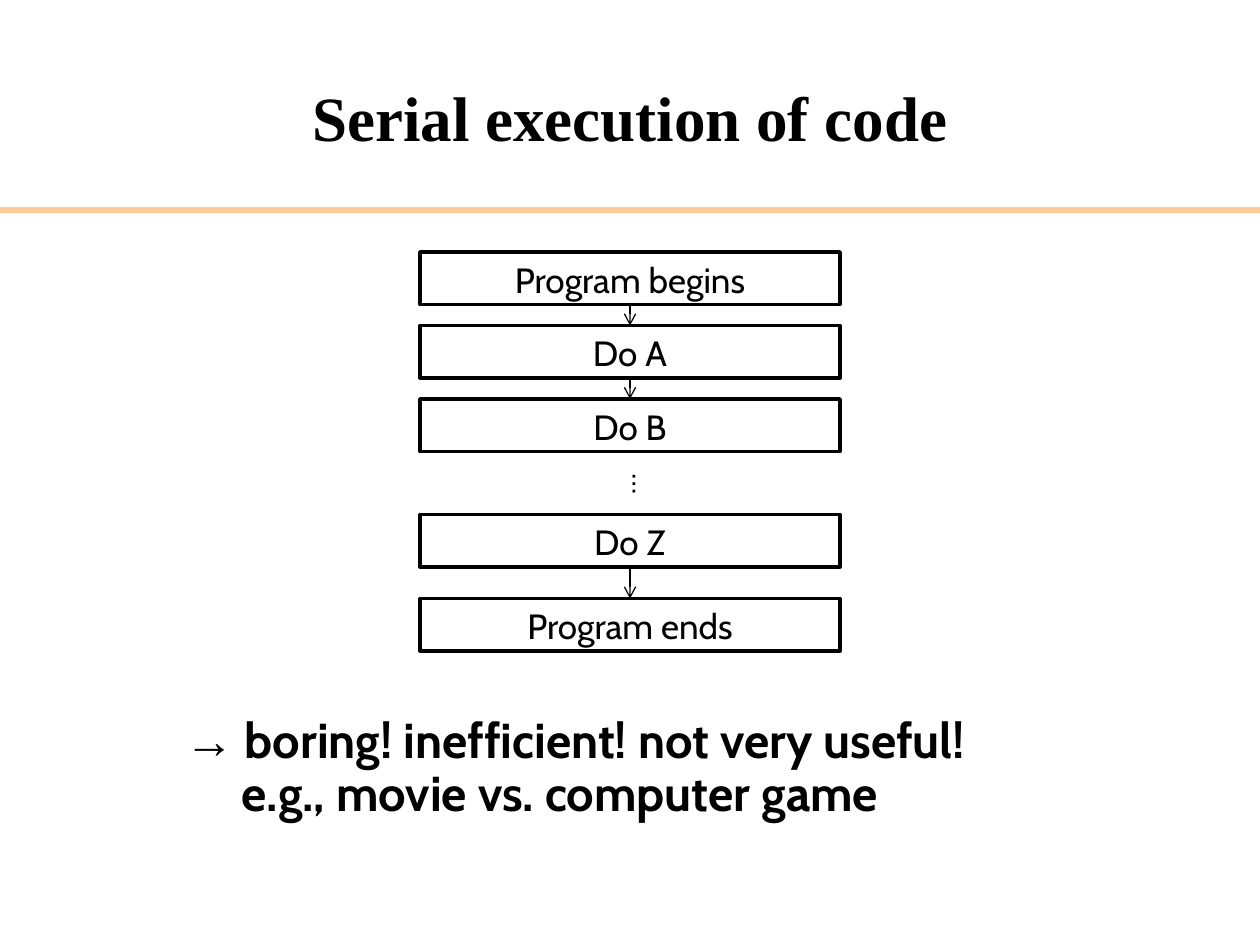
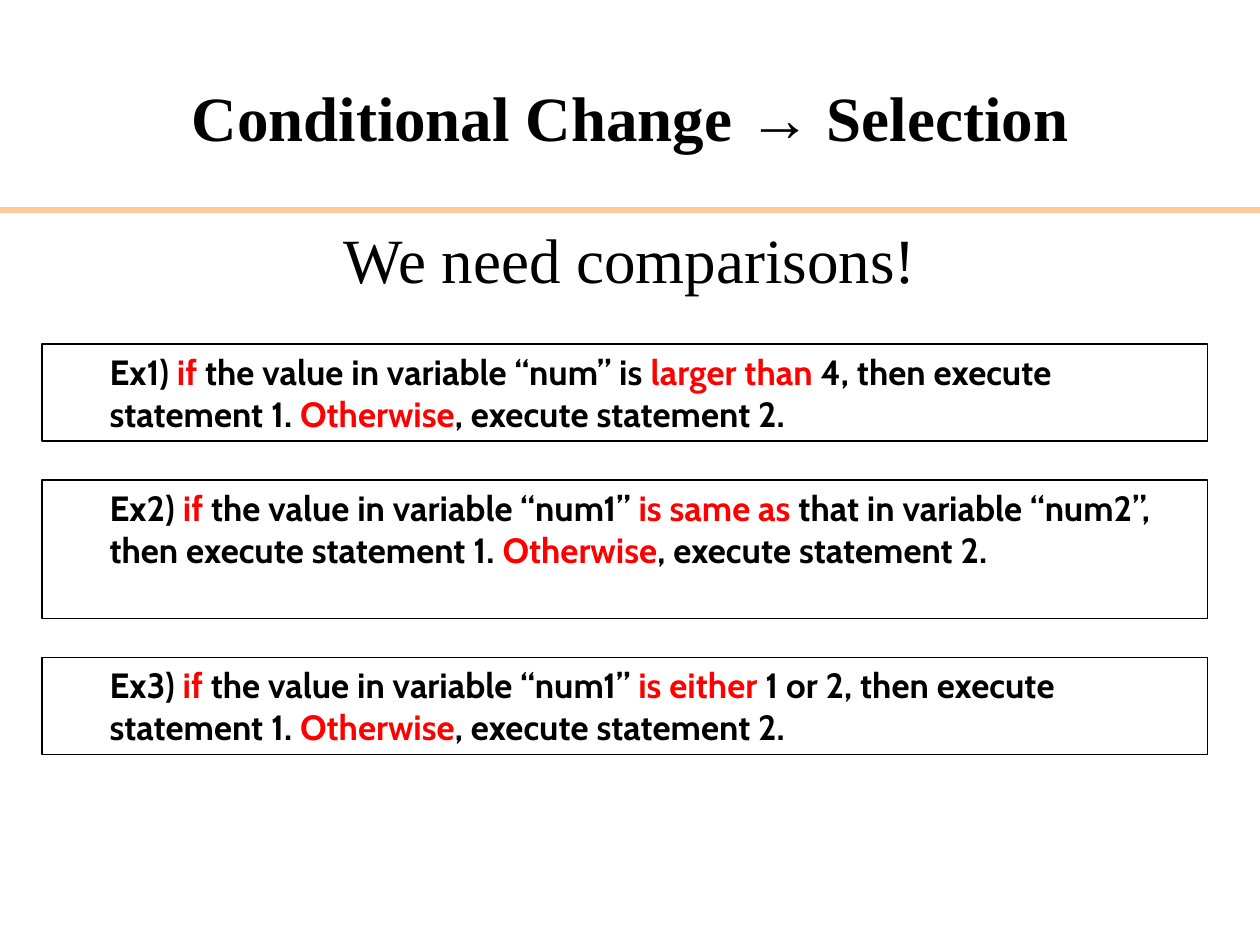
from lxml.etree import SubElement
from pptx import Presentation
from pptx.dml.color import RGBColor
from pptx.enum.shapes import MSO_CONNECTOR, MSO_SHAPE
from pptx.enum.text import MSO_ANCHOR, PP_ALIGN
from pptx.oxml.ns import qn
from pptx.util import Pt

COLORS = {"ink": "000000", "paper": "FFFFFF", "band": "FFCC99", "key": "FF0000"}
SERIF, SANS, SYMBOL = "Times New Roman", "Cabin", "Arial"
WIDE, HIGH = 720, 540

# Text between asterisks takes the accent format.
SERIAL = "Serial execution of code"
STEPS = ["Program begins", "Do A", "Do B", "Do Z", "Program ends"]
GAPS = [12, 12, 36, 18]  # below each step but the last
BREAK = 2  # the step followed by dots, not by an arrow
NOTES = [
    ("*→* boring! inefficient! not very useful!", (98.6, 401.8, 533.5, 41), 0),
    ("e.g., movie vs. computer game", (95, 432, 476, 41), 36),
]

CHOICE = "Conditional Change *→* Selection"
LEAD = "We need comparisons!"
CASES = [
    ("Ex1) *if* the value in variable “num” is *larger than *4, then execute "
     "statement 1. *Otherwise*, execute statement 2.", 55.4),
    ("Ex2) *if* the value in variable “num1” *is same as* that in variable “num2”, "
     "then execute statement 1. *Otherwise*, execute statement 2.", 79.2),
    ("Ex3) *if* the value in variable “num1” *is either *1 or 2, then execute "
     "statement 1. *Otherwise*, execute statement 2.", 55.4),
]


def color(name):
    return RGBColor.from_string(COLORS[name])


def write(shape, text, size=20, font=SANS, bold=False, center=False,
          anchor=MSO_ANCHOR.TOP, indent=0, before=0, accent=None):
    """Fill a shape with one paragraph; accent overrides font or ink."""
    frame = shape.text_frame
    frame.word_wrap = True
    frame.vertical_anchor = anchor
    para = frame.paragraphs[0]
    para.alignment = PP_ALIGN.CENTER if center else PP_ALIGN.LEFT
    para.space_before = Pt(before)
    if indent:
        props = para._p.get_or_add_pPr()
        props.set("marL", str(Pt(indent)))
        props.set("indent", "0")
    for i, part in enumerate(text.split("*")):
        if not part:
            continue
        look = {"font": font, "ink": "ink"}
        if i % 2:
            look.update(accent or {})
        run = para.add_run()
        run.text = part
        run.font.size = Pt(size)
        run.font.bold = bold
        run.font.name = look["font"]
        run.font.color.rgb = color(look["ink"])
    return frame


def label(slide, text, place, **look):
    box = slide.shapes.add_textbox(*map(Pt, place))
    write(box, text, **look)
    return box


def panel(slide, text, place, line, fill=None, **look):
    box = slide.shapes.add_shape(MSO_SHAPE.RECTANGLE, *map(Pt, place))
    box.shadow.inherit = False
    if fill:
        box.fill.solid()
        box.fill.fore_color.rgb = color(fill)
    else:
        box.fill.background()
    box.line.color.rgb = color("ink")
    box.line.width = Pt(line)
    write(box, text, **look)
    return box


def rule(slide, start, end, ink, width):
    line = slide.shapes.add_connector(MSO_CONNECTOR.STRAIGHT, *map(Pt, start + end))
    line.line.color.rgb = color(ink)
    line.line.width = Pt(width)
    SubElement(line._element.spPr, qn("a:effectLst"))
    return line


def arrow(slide, upper, lower):
    line = rule(slide, (0, 0), (0, 0), "ink", 0.75)
    line.begin_connect(upper, 2)
    line.end_connect(lower, 0)
    SubElement(line.line._get_or_add_ln(), qn("a:tailEnd"), type="arrow")


def page(deck, title):
    """Add a slide with the shared title and band."""
    slide = deck.slides.add_slide(deck.slide_layouts[6])
    rule(slide, (0, 120), (WIDE, 120), "band", 3)
    label(slide, title, (36, 21.6, 648, 90), size=36, font=SERIF, bold=True,
          center=True, anchor=MSO_ANCHOR.MIDDLE, accent={"font": SYMBOL})
    return slide


def serial(deck):
    slide = page(deck, SERIAL)
    for text, place, indent in NOTES:
        label(slide, text, place, size=28, bold=True, indent=indent,
              accent={"font": SYMBOL})
    boxes, top, side, tall = [], 144, 240, 30
    for step, gap in zip(STEPS, GAPS + [0]):
        boxes.append(panel(slide, step, (side, top, WIDE - 2 * side, tall), 2,
                           fill="paper", center=True))
        top += tall + gap
    for i, (upper, lower) in enumerate(zip(boxes, boxes[1:])):
        if i != BREAK:
            arrow(slide, upper, lower)
    dots = label(slide, "…", (350.6, 267.1, 36, 28.8), size=18)
    dots.rotation = 90


def choice(deck):
    slide = page(deck, CHOICE)
    lead = label(slide, LEAD, (36, 126, 648, 378), size=36, font=SERIF,
                 center=True, before=9)
    lead.text_frame.margin_top = 0
    top, gap = 196.6, 22.3
    for text, tall in CASES:
        panel(slide, text, (24, top, 666, tall), 0.75, bold=True, indent=31.5,
              accent={"ink": "key"})
        top += tall + gap


def main():
    deck = Presentation()
    deck.slide_width, deck.slide_height = Pt(WIDE), Pt(HIGH)
    serial(deck)
    choice(deck)
    deck.save("out.pptx")


if __name__ == "__main__":
    main()
